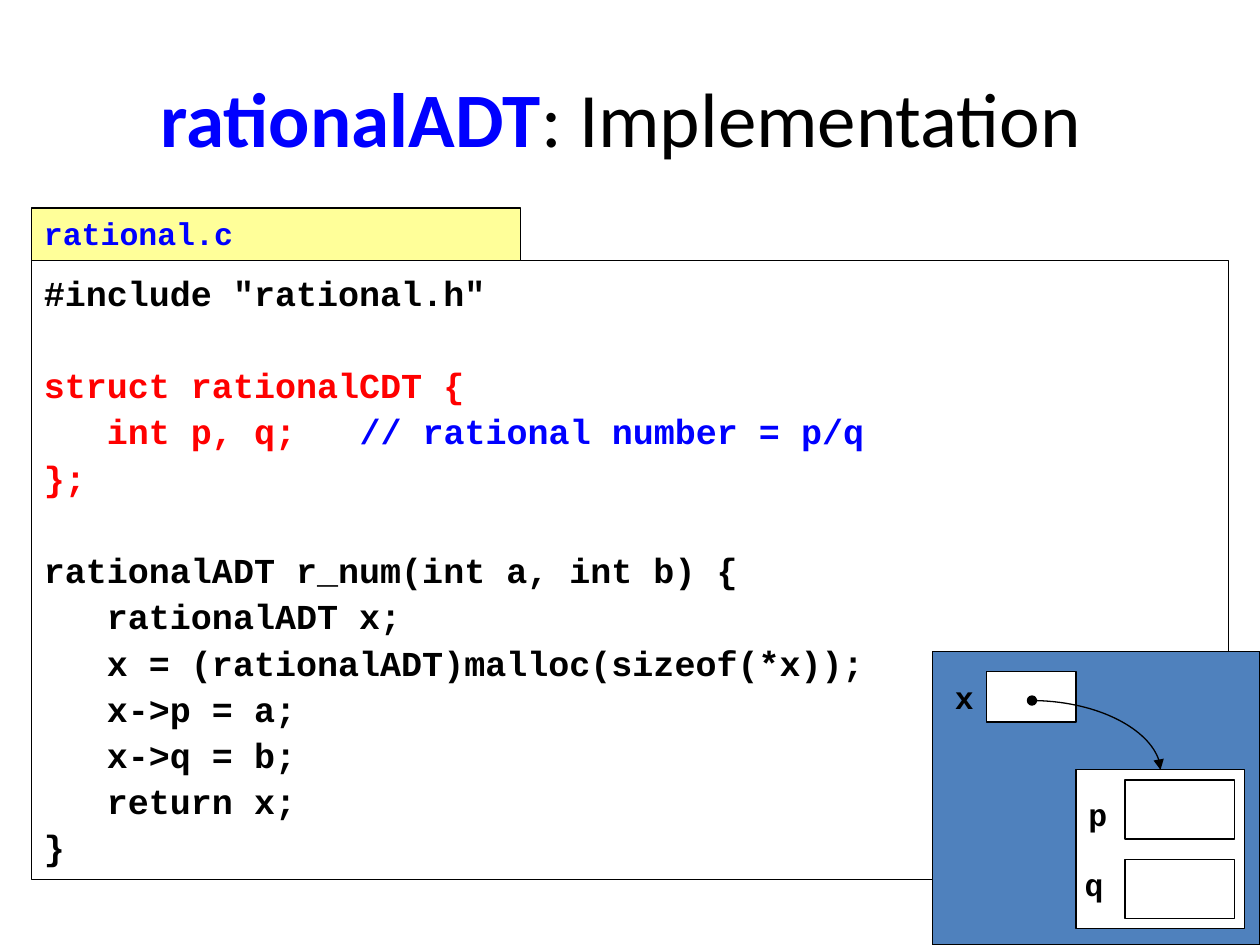
from lxml import etree
from pptx import Presentation
from pptx.dml.color import RGBColor
from pptx.enum.shapes import MSO_CONNECTOR, MSO_SHAPE
from pptx.enum.text import MSO_ANCHOR, MSO_AUTO_SIZE, PP_ALIGN
from pptx.oxml.ns import qn
from pptx.util import Inches, Pt

RECT, CURVE = MSO_SHAPE.RECTANGLE, MSO_CONNECTOR.CURVE
TOP, MIDDLE = MSO_ANCHOR.TOP, MSO_ANCHOR.MIDDLE
LEFT, CENTER = PP_ALIGN.LEFT, PP_ALIGN.CENTER
GROW = MSO_AUTO_SIZE.SHAPE_TO_FIT_TEXT

COLS, ROWS = 100, 75
CELL = Inches(10) // COLS
GAP = 26.5  # one line of code, in points

COLORS = {"ink": "000000", "blue": "0000FF", "red": "FF0000",
          "white": "FFFFFF", "tab": "FFFF99", "panel": "4F81BD"}
HEAD = {"name": "Calibri", "size": Pt(44)}
CODE = {"name": "Courier New", "size": Pt(20), "bold": True}
LABEL = {**CODE, "size": Pt(18)}

# Each block of code is a list of lines; each line a list of (text, color).
BLOCKS = [
    [[('#include "rational.h"', "ink")]],
    [[("struct rationalCDT {", "red")],
     [("   int p, q;   ", "red"), ("// rational number = p/q", "blue")],
     [("};", "red")]],
    [[(line, "ink")] for line in (
        "rationalADT r_num(int a, int b) {",
        "   rationalADT x;",
        "   x = (rationalADT)malloc(sizeof(*x));",
        "   x->p = a;",
        "   x->q = b;",
        "   return x;",
        "}")],
]


def rgb(key):
    return RGBColor.from_string(COLORS[key])


def style(item, form):
    for key, value in form.items():
        setattr(item, key, value)


def within(box, x, y, wide, high):
    """Grid box whose corner is offset from the corner of box."""
    return box[0] + x, box[1] + y, wide, high


def scale(cells):
    return [round(n * CELL) for n in cells]


def outline(item):
    item.line.color.rgb = rgb("ink")
    item.line.width = Pt(0.75)


def rect(shapes, box, fill=None):
    shape = shapes.add_shape(RECT, *scale(box))
    shape.shadow.inherit = False
    if fill:
        shape.fill.solid()
        shape.fill.fore_color.rgb = rgb(fill)
    else:
        shape.fill.background()
    outline(shape)
    return shape


def write(para, runs, form):
    for text, color, *extra in runs:
        run = para.add_run()
        run.text = text
        style(run.font, {**form, **(extra[0] if extra else {})})
        run.font.color.rgb = rgb(color)


def label(shapes, box, text):
    frame = shapes.add_textbox(*scale(box)).text_frame
    style(frame, {"word_wrap": False, "auto_size": GROW})
    write(frame.paragraphs[0], [(text, "ink")], LABEL)


def title(shapes, box):
    frame = shapes.add_textbox(*scale(box)).text_frame
    style(frame, {"word_wrap": True, "vertical_anchor": MIDDLE})
    para = frame.paragraphs[0]
    para.alignment = CENTER
    write(para, [("rationalADT", "blue", {"bold": True}),
                 (": Implementation ", "ink")], HEAD)


def code(shapes, box):
    frame = rect(shapes, box).text_frame
    style(frame, {"word_wrap": True, "vertical_anchor": TOP})
    para = frame.paragraphs[0]
    for b, block in enumerate(BLOCKS):
        for n, line in enumerate(block):
            if b or n:
                para = frame.add_paragraph()
            style(para, {"alignment": LEFT, "line_spacing": 1.1})
            if b and n == 0:
                para.space_before = Pt(GAP)
            write(para, line, CODE)


def tab(shapes, box):
    frame = rect(shapes, box, "tab").text_frame
    style(frame, {"word_wrap": True, "vertical_anchor": TOP})
    para = frame.paragraphs[0]
    para.alignment = LEFT
    write(para, [("rational.c", "blue")], LABEL)


def record(shapes, box):
    """Struct box with its two named fields."""
    parts = shapes.add_group_shape().shapes
    rect(parts, box, "white")
    fields = [("p", 0, 1.5), ("q", -0.3, 7.1)]
    for n, (name, x, y) in enumerate(fields):
        rect(parts, within(box, 3.9, 0.8 + 6.3 * n, 8.7, 4.7), "white")
        label(parts, within(box, x, y, 3.5, 4), name)


def arrow(shapes, start, end):
    """Curve that leaves sideways and arrives from above."""
    link = shapes.add_connector(CURVE, *scale(start + end))
    outline(link)
    props = link._element.spPr
    props.find(qn("a:prstGeom")).set("prst", "curvedConnector2")
    line = props.find(qn("a:ln"))
    for tag, kind in (("a:headEnd", "oval"), ("a:tailEnd", "triangle")):
        etree.SubElement(line, qn(tag)).set("type", kind)
    etree.SubElement(props, qn("a:effectLst"))


def memory(shapes, box):
    """Panel with pointer x and the record it points to."""
    rect(shapes, box, "panel")
    record(shapes, within(box, 11.4, 9.4, 13.4, 12.6))
    rect(shapes, within(box, 4.3, 1.6, 7.1, 4), "white")
    label(shapes, within(box, 0.8, 1.6, 3.5, 4), "x")
    x, y = box[:2]
    arrow(shapes, (x + 7.9, y + 3.9), (x + 18.1, y + 9.4))


def main():
    deck = Presentation()
    deck.slide_width, deck.slide_height = COLS * CELL, ROWS * CELL
    shapes = deck.slides.add_slide(deck.slide_layouts[6]).shapes
    title(shapes, (5, 3, 90, 12.5))
    code(shapes, (2.5, 20.7, 95, 49.1))
    memory(shapes, (74, 51.7, 26, 23.3))
    tab(shapes, (2.5, 16.5, 38.8, 4.2))
    deck.save("out.pptx")


if __name__ == "__main__":
    main()
